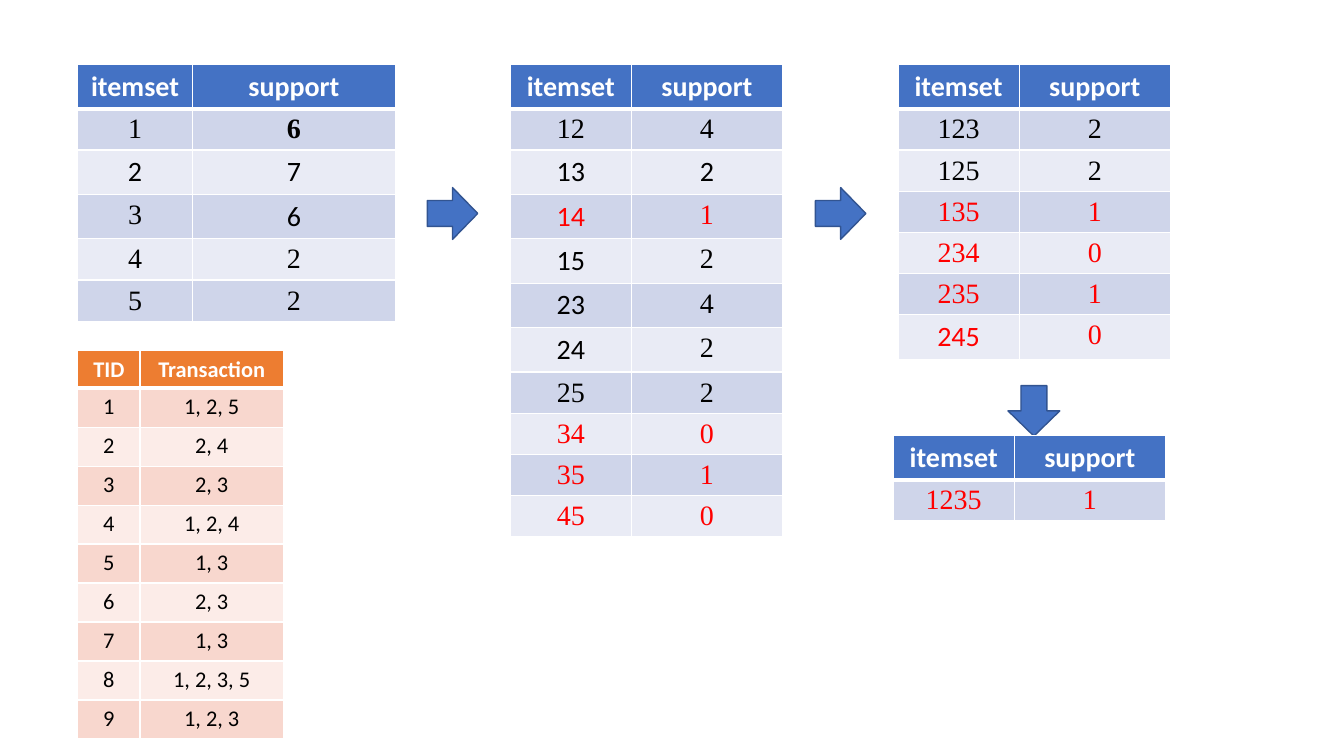
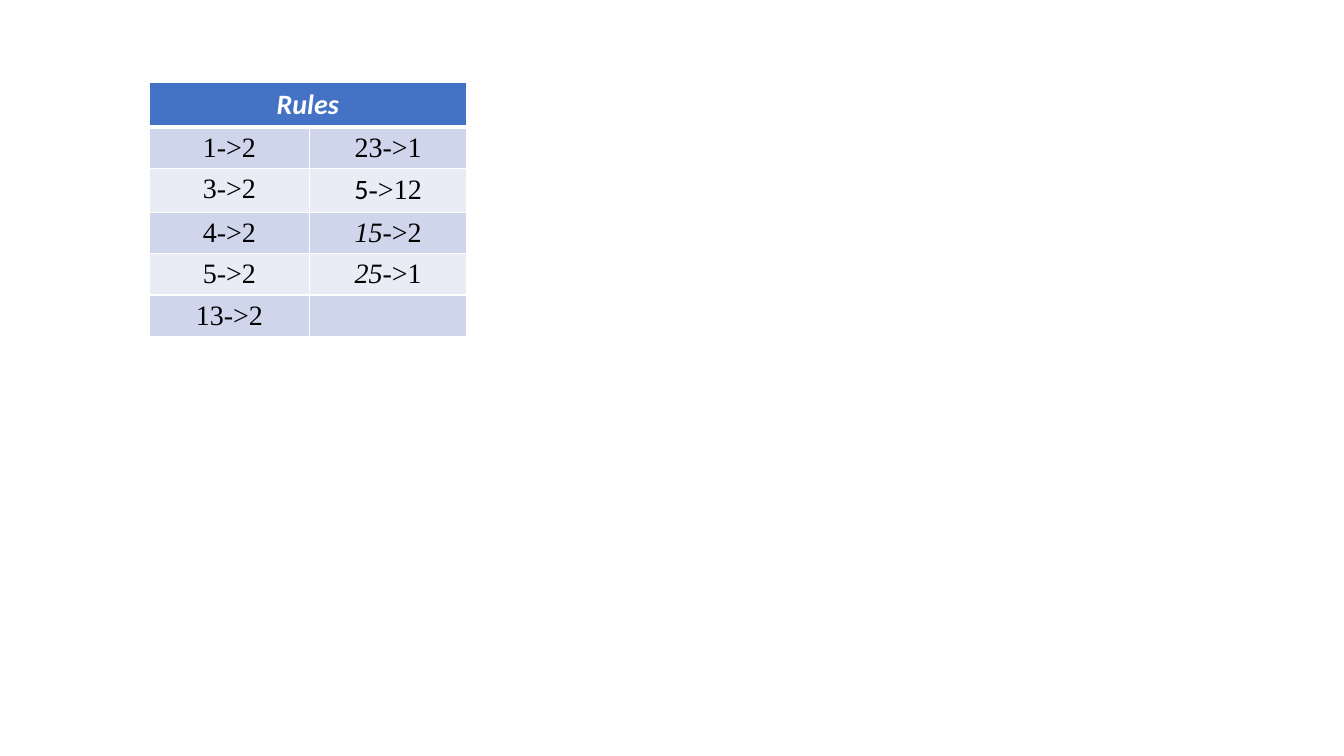
import pptx
import pptx.util
import pptx.dml.color
import pptx.enum.shapes
import pptx.enum.text
import pptx.oxml

Pt = pptx.util.Pt
RGB = pptx.dml.color.RGBColor

# Shared look
WHITE = RGB(0xFF, 0xFF, 0xFF)
BLACK = RGB(0, 0, 0)
RED = RGB(0xFF, 0, 0)
BLUE = RGB(0x44, 0x72, 0xC4)
NAVY = RGB(0x32, 0x54, 0x91)
ORANGE = RGB(0xED, 0x7D, 0x31)
BLUES = (BLUE, RGB(0xCF, 0xD5, 0xEA), RGB(0xE9, 0xEB, 0xF5))
WARMS = (ORANGE, RGB(0xF8, 0xD7, 0xCE), RGB(0xFC, 0xEC, 0xE8))
SANS, SERIF = "Calibri", "Times New Roman"
HEAD, ROW = 26.7, 27.85
THIN, THICK = 1, 3
LIMIT = 2  # lowest support that counts as frequent
TOP = 46
NS = 'xmlns:a="http://schemas.openxmlformats.org/drawingml/2006/main"'


def edge(cell, row):
    """White borders, with a thick rule under the heading."""
    wide = {"T": THICK if row == 1 else THIN, "B": THICK if row == 0 else THIN}
    props = cell._tc.get_or_add_tcPr()
    for side in "LRTB":
        width = Pt(wide.get(side, THIN))
        props.append(pptx.oxml.parse_xml(
            f'<a:ln{side} {NS} w="{width}"><a:solidFill>'
            f'<a:srgbClr val="{WHITE}"/></a:solidFill></a:ln{side}>'))


def write(cell, parts, font, size, color, bold):
    """Centred text; a tuple of parts becomes one run each."""
    para = cell.text_frame.paragraphs[0]
    para.alignment = pptx.enum.text.PP_ALIGN.CENTER
    for part in (parts,) if isinstance(parts, str) else parts:
        run = para.add_run()
        run.text = part
        run.font.name = font
        run.font.size = Pt(size)
        run.font.bold = bold
        run.font.italic = False
        run.font.color.rgb = color


def grid(slide, x, y, cols, rows, fills=BLUES, size=20, font=SERIF, reds=()):
    """A table with a heading row and two alternating body fills."""
    high = HEAD + ROW * (len(rows) - 1)
    table = slide.shapes.add_table(
        len(rows), len(cols), Pt(x), Pt(y), Pt(sum(cols)), Pt(high)).table
    table.horz_banding = False
    for col, width in enumerate(cols):
        table.columns[col].width = Pt(width)
    for r, row in enumerate(rows):
        head = r == 0
        table.rows[r].height = Pt(HEAD if head else ROW)
        color = WHITE if head else RED if r in reds else BLACK
        for c, text in enumerate(row):
            cell = table.cell(r, c)
            edge(cell, r)
            cell.fill.solid()
            cell.fill.fore_color.rgb = fills[0 if head else 2 - r % 2]
            if text:
                write(cell, text, SANS if head else font, size, color, head)
    return table


def runs(table, row, col):
    return table.cell(row, col).text_frame.paragraphs[0].runs


def count(slide, x, y, data, sans=(), cols=(86.5, 108)):
    """Itemsets with their support; infrequent ones are red."""
    rows = [("itemset", "support")]
    rows += [(str(item), str(n)) for item, n in data]
    reds = [r for r, (_, n) in enumerate(data, 1) if n < LIMIT]
    table = grid(slide, x, y, cols, rows, reds=reds)
    for row, col in sans:
        runs(table, row, col)[0].font.name = SANS
    return table


def arrow(slide, x, y, turn=0):
    kind = pptx.enum.shapes.MSO_SHAPE.RIGHT_ARROW
    shape = slide.shapes.add_shape(kind, Pt(x), Pt(y), Pt(36), Pt(37))
    shape.rotation = turn
    shape.shadow.inherit = False
    shape.fill.solid()
    shape.fill.fore_color.rgb = BLUE
    shape.line.color.rgb = NAVY
    shape.line.width = Pt(1)


def mine(slide):
    """Frequent itemsets, level by level."""
    ones = count(slide, 55.5, TOP, [(1, 6), (2, 7), (3, 6), (4, 2), (5, 2)],
                 [(2, 0), (2, 1), (3, 1)], (82, 145))
    runs(ones, 1, 1)[0].font.bold = True
    count(slide, 364.5, TOP,
          [(12, 4), (13, 2), (14, 1), (15, 2), (23, 4),
           (24, 2), (25, 2), (34, 0), (35, 1), (45, 0)],
          [(2, 1)] + [(row, 0) for row in range(2, 7)])
    count(slide, 641.5, TOP,
          [(123, 2), (125, 2), (135, 1), (234, 0), (235, 1), (245, 0)],
          [(6, 0)])

    # Source transactions
    sales = ["1, 2, 5", "2, 4", "2, 3", "1, 2, 4", "1, 3",
             "2, 3", "1, 3", "1, 2, 3, 5", "1, 2, 3"]
    rows = [("TID", "Transaction")]
    rows += [(str(n), sale) for n, sale in enumerate(sales, 1)]
    grid(slide, 55.5, 250.5, (44.5, 102.5), rows, WARMS, 16, SANS)

    # Steps between levels
    arrow(slide, 305.25, 134)
    arrow(slide, 582.5, 134)
    arrow(slide, 720.5, 275, 90)
    count(slide, 638, 311, [(1235, 1)])


def rules(slide):
    """Rules drawn from the frequent itemsets."""
    table = grid(slide, 106.5, 59, (114.75, 112), [
        ("Rules", ""),
        ("1->2", "23->1"),
        ("3->2", ("5", "->12")),
        ("4->2", ("15", "->2")),
        ("5->2", ("25", "->1")),
        ("13->2", ""),
    ])
    table.cell(0, 0).merge(table.cell(0, 1))
    runs(table, 2, 1)[0].font.name = SANS
    for row, col in ((0, 0), (3, 1), (4, 1)):
        runs(table, row, col)[0].font.italic = True


def main():
    deck = pptx.Presentation()
    deck.slide_width, deck.slide_height = Pt(960), Pt(540)
    for build in (mine, rules):
        build(deck.slides.add_slide(deck.slide_layouts[6]))
    deck.save("out.pptx")


if __name__ == "__main__":
    main()
